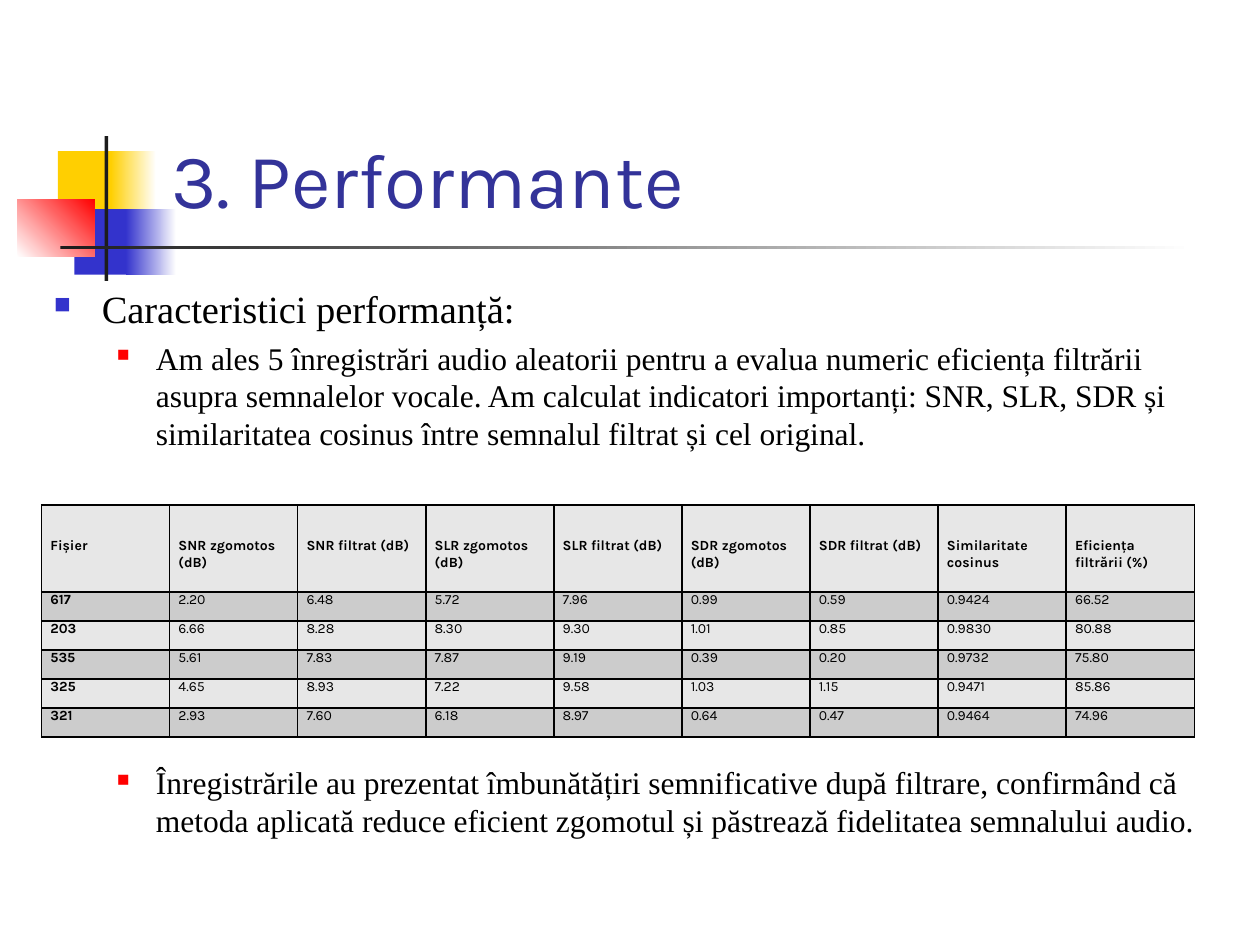
from typing import NamedTuple, Optional

from lxml import etree
from pptx import Presentation
from pptx.dml.color import RGBColor
from pptx.enum.shapes import MSO_SHAPE
from pptx.enum.text import MSO_ANCHOR
from pptx.oxml.ns import qn
from pptx.util import Inches, Pt

RECTANGLE = MSO_SHAPE.RECTANGLE
BOTTOM, TOP = MSO_ANCHOR.BOTTOM, MSO_ANCHOR.TOP
HEADING_FONT, BODY_FONT = "Karla", "Times New Roman"
BLACK, WHITE, CHARCOAL = "000000", "FFFFFF", "1C1C1C"
YELLOW, BLUE, RED = "FFCF01", "3333CC", "FF0000"
LIGHT_GREY, MID_GREY = "E7E7E7", "CCCCCC"


class Block(NamedTuple):
    left: float
    top: float
    width: float
    height: float
    color: str
    end_color: Optional[str] = None
    angle: float = 0


class Bullet(NamedTuple):
    text: str
    level: int
    size: float
    indent: float
    hanging: float
    color: str
    scale: int


BLOCKS = [
    Block(0.46, 1.2, 0.48, 0.52, YELLOW),
    Block(0.88, 1.2, 0.36, 0.52, YELLOW, WHITE),
    Block(0.59, 1.66, 0.46, 0.52, BLUE),
    Block(1, 1.66, 0.4, 0.52, BLUE, WHITE),
    Block(0.14, 1.58, 0.61, 0.46, WHITE, RED, 45),
    Block(0.83, 1.08, 0.03, 1.15, CHARCOAL),
    Block(0.48, 1.95, 9, 0.03, CHARCOAL, WHITE),
]


def sub_bullet(text: str) -> Bullet:
    return Bullet(text, 1, 18, 0.81, 0.31, RED, 55)


INTRODUCTION = [
    Bullet("Caracteristici performanță:", 0, 22, 0.38, 0.38, BLUE, 60),
    sub_bullet(
        "Am ales 5 înregistrări audio aleatorii pentru a evalua numeric eficiența "
        "filtrării asupra semnalelor vocale. Am calculat indicatori importanți: SNR, "
        "SLR, SDR și similaritatea cosinus între semnalul filtrat și cel original."
    ),
]
CONCLUSION = [
    sub_bullet(
        "Înregistrările au prezentat îmbunătățiri semnificative după filtrare, "
        "confirmând că metoda aplicată reduce eficient zgomotul și păstrează "
        "fidelitatea semnalului audio."
    ),
]
RESULTS = [
    ["Fișier", "SNR zgomotos (dB)", "SNR filtrat (dB)", "SLR zgomotos (dB)",
     "SLR filtrat (dB)", "SDR zgomotos (dB)", "SDR filtrat (dB)",
     "Similaritate cosinus", "Eficiența filtrării (%)"],
    ["617", "2.20", "6.48", "5.72", "7.96", "0.99", "0.59", "0.9424", "66.52"],
    ["203", "6.66", "8.28", "8.30", "9.30", "1.01", "0.85", "0.9830", "80.88"],
    ["535", "5.61", "7.83", "7.87", "9.19", "0.39", "0.20", "0.9732", "75.80"],
    ["325", "4.65", "8.93", "7.22", "9.58", "1.03", "1.15", "0.9471", "85.86"],
    ["321", "2.93", "7.60", "6.18", "8.97", "0.64", "0.47", "0.9464", "74.96"],
]


def rgb(color: str) -> RGBColor:
    return RGBColor.from_string(color)


def set_font(paragraph, name: str, size: float, color: str, bold: bool = False) -> None:
    font = paragraph.font
    font.name, font.size, font.bold = name, Pt(size), bold
    font.color.rgb = rgb(color)


def add_block(slide, block: Block) -> None:
    shape = slide.shapes.add_shape(
        RECTANGLE, Inches(block.left), Inches(block.top),
        Inches(block.width), Inches(block.height))
    shape.shadow.inherit = False
    shape.line.fill.background()
    if block.end_color is None:
        shape.fill.solid()
        shape.fill.fore_color.rgb = rgb(block.color)
        return
    shape.fill.gradient()
    shape.fill.gradient_angle = block.angle
    for stop, color in zip(shape.fill.gradient_stops, (block.color, block.end_color)):
        stop.color.rgb = rgb(color)


def add_text_frame(slide, left: float, top: float, width: float, height: float, anchor):
    box = slide.shapes.add_textbox(
        Inches(left), Inches(top), Inches(width), Inches(height))
    frame = box.text_frame
    frame.word_wrap = True
    frame.vertical_anchor = anchor
    return frame


def add_bullets(slide, top: float, height: float, bullets: list[Bullet]) -> None:
    frame = add_text_frame(slide, 0.33, top, 9.46, height, TOP)
    for index, bullet in enumerate(bullets):
        paragraph = frame.add_paragraph() if index else frame.paragraphs[0]
        paragraph.text = bullet.text
        paragraph.level = bullet.level
        properties = paragraph._p.get_or_add_pPr()
        properties.set("marL", str(Inches(bullet.indent)))
        properties.set("indent", str(-Inches(bullet.hanging)))
        bullet_color = etree.SubElement(properties, qn("a:buClr"))
        etree.SubElement(bullet_color, qn("a:srgbClr"), val=bullet.color)
        etree.SubElement(properties, qn("a:buSzPct"), val=str(bullet.scale * 1000))
        etree.SubElement(properties, qn("a:buChar"), char="■")
        if index:
            paragraph.space_before = Pt(4.5)
        set_font(paragraph, BODY_FONT, bullet.size, BLACK)


def add_borders(cell) -> None:
    properties = cell._tc.get_or_add_tcPr()
    for position, side in enumerate(("a:lnL", "a:lnR", "a:lnT", "a:lnB")):
        line = etree.Element(qn(side), w=str(Pt(1)))
        fill = etree.SubElement(line, qn("a:solidFill"))
        etree.SubElement(fill, qn("a:srgbClr"), val=BLACK)
        properties.insert(position, line)


def add_results_table(slide, rows: list[list[str]]) -> None:
    table = slide.shapes.add_table(
        len(rows), len(rows[0]), Inches(0.33), Inches(4.01),
        Inches(9.15), Inches(1.83)).table
    table.first_row = table.horz_banding = False
    for column in table.columns:
        column.width = Inches(9.15 / len(rows[0]))
    for row_index, values in enumerate(rows):
        is_header = row_index == 0
        table.rows[row_index].height = Inches(0.69 if is_header else 0.23)
        for column_index, value in enumerate(values):
            cell = table.cell(row_index, column_index)
            cell.text = value
            cell.margin_left = cell.margin_right = Inches(0.07)
            cell.margin_top = Inches(0.26 if is_header else 0)
            cell.margin_bottom = 0
            cell.fill.solid()
            cell.fill.fore_color.rgb = rgb(MID_GREY if row_index % 2 else LIGHT_GREY)
            add_borders(cell)
            set_font(cell.text_frame.paragraphs[0], HEADING_FONT, 8, BLACK,
                     is_header or column_index == 0)


def main() -> None:
    presentation = Presentation()
    presentation.slide_width, presentation.slide_height = Inches(10), Inches(7.5)
    slide = presentation.slides.add_slide(presentation.slide_layouts[6])

    # Decorative blocks and rules
    for block in BLOCKS:
        add_block(slide, block)

    # Title
    title = add_text_frame(slide, 1.26, 0.23, 8.52, 1.6, BOTTOM).paragraphs[0]
    title.text = "3. Performante"
    set_font(title, HEADING_FONT, 44, "333399")

    # Bullets above and below the results
    add_bullets(slide, 2.21, 1.5, INTRODUCTION)
    add_results_table(slide, RESULTS)
    add_bullets(slide, 6.01, 0.8, CONCLUSION)

    presentation.save("out.pptx")


if __name__ == "__main__":
    main()
